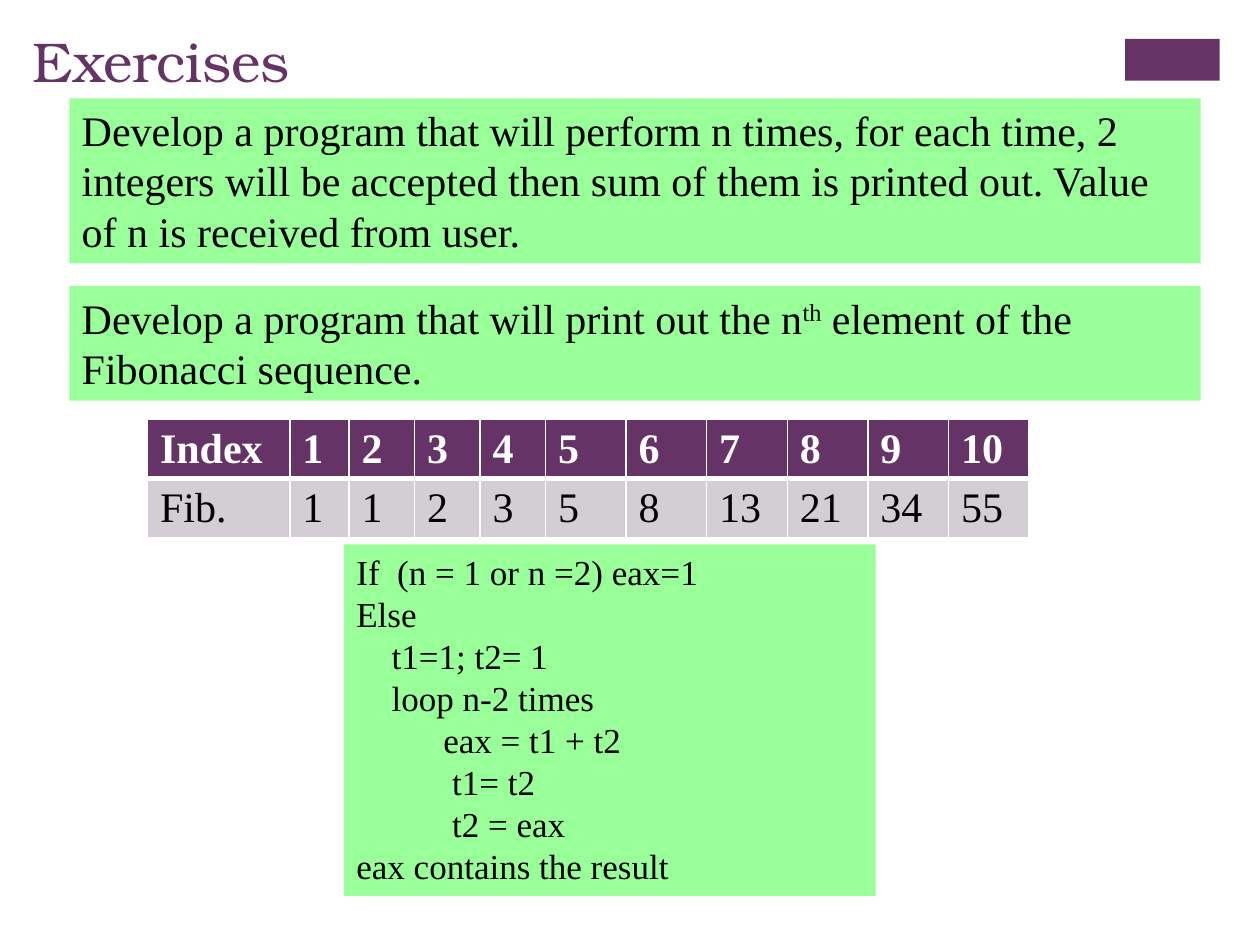
"""Build the Exercises slide with two tasks, a Fibonacci table and pseudocode."""
from lxml import etree
from pptx import Presentation
from pptx import util as u
from pptx.dml.color import RGBColor
from pptx.enum import shapes, text
from pptx.oxml import ns

PLUM, MINT, GREY, WHITE = "663366", "99FF99", "D3CED3", "FFFFFF"
SERIF = "Times New Roman"


def hue(code):
    return RGBColor.from_string(code)


def write(para, words, size=24, font=SERIF, color="000000", bold=False, raised=False, indent=0):
    run = para.add_run()
    run.text = words
    run.font.size = u.Pt(size)
    run.font.name = font
    run.font.bold = bold
    run.font.color.rgb = hue(color)
    para.alignment = text.PP_ALIGN.LEFT
    if raised:
        run.font._element.set("baseline", "30000")
    if indent:
        para._p.get_or_add_pPr().set("marL", str(u.Inches(indent)))


prs = Presentation()
prs.slide_width, prs.slide_height = u.Inches(10), u.Inches(7.5)
slide = prs.slides.add_slide(prs.slide_layouts[5])

title = slide.shapes.title
title.left, title.top, title.width, title.height = map(u.Inches, (0.16, 0.16, 4.69, 0.78))
title.text_frame.vertical_anchor = text.MSO_ANCHOR.TOP
title.text_frame.auto_size = text.MSO_AUTO_SIZE.NONE
write(title.text_frame.paragraphs[0], "Exercises", size=32, font="TeX Gyre Bonum", color=PLUM)

frames = []
for box, fill in [
    ((8.93, 0.31, 0.75, 0.33), PLUM),
    ((0.55, 0.78, 8.98, 1.31), MINT),
    ((0.55, 2.27, 8.98, 0.91), MINT),
]:
    rect = slide.shapes.add_shape(shapes.MSO_SHAPE.RECTANGLE, *map(u.Inches, box))
    rect.shadow.inherit = False
    rect.fill.solid()
    rect.fill.fore_color.rgb = hue(fill)
    rect.line.fill.background()
    rect.text_frame.vertical_anchor = text.MSO_ANCHOR.TOP
    frames.append(rect.text_frame)

badge, task, fib = frames
write(task.paragraphs[0], "Develop a program that will perform n times, for each time, 2 integers "
      "will be accepted then sum of them is printed out. Value of n is received from user.")
line = fib.paragraphs[0]
write(line, "Develop a program that will print out the n")
write(line, "th", raised=True)
write(line, " element of the Fibonacci sequence.")

terms = [1, 1]
while len(terms) < 10:
    terms.append(terms[-1] + terms[-2])
rows = [["Index", *range(1, 11)], ["Fib.", *terms]]
widths = [1.13, 0.47] + [0.52] * 3 + [0.64] * 6
grid = slide.shapes.add_table(2, len(widths), *map(u.Inches, (1.17, 3.33, sum(widths), 0.82))).table
for col, width in zip(grid.columns, widths):
    col.width = u.Inches(width)
for r, row in enumerate(rows):
    grid.rows[r].height = u.Inches(0.41)
    for c, value in enumerate(row):
        cell = grid.cell(r, c)
        head = r == 0
        write(cell.text_frame.paragraphs[0], str(value), color=WHITE if head else "000000", bold=head)
        props = cell._tc.get_or_add_tcPr()
        for side in ("lnL", "lnR", "lnT", "lnB"):
            thick = 3 if (r, side) in ((0, "lnB"), (1, "lnT")) else 1
            edge = etree.SubElement(props, ns.qn("a:" + side), w=str(u.Pt(thick)))
            paint = etree.SubElement(edge, ns.qn("a:solidFill"))
            etree.SubElement(paint, ns.qn("a:srgbClr"), val=WHITE)
        cell.fill.solid()
        cell.fill.fore_color.rgb = hue(PLUM if head else GREY)

code = slide.shapes.add_textbox(*map(u.Inches, (2.73, 4.32, 4.22, 2.79)))
code.fill.solid()
code.fill.fore_color.rgb = hue(MINT)
code.text_frame.word_wrap = True
for i, (words, indent) in enumerate([
    ("If  (n = 1 or n =2) eax=1", 0),
    ("Else", 0),
    ("t1=1; t2= 1", 0.28),
    ("loop n-2 times", 0.28),
    ("eax = t1 + t2", 0.69),
    ("t1= t2", 0.76),
    ("t2 = eax", 0.76),
    ("eax contains the result", 0),
]):
    para = code.text_frame.add_paragraph() if i else code.text_frame.paragraphs[0]
    write(para, words, size=20, indent=indent)

prs.save("out.pptx")
